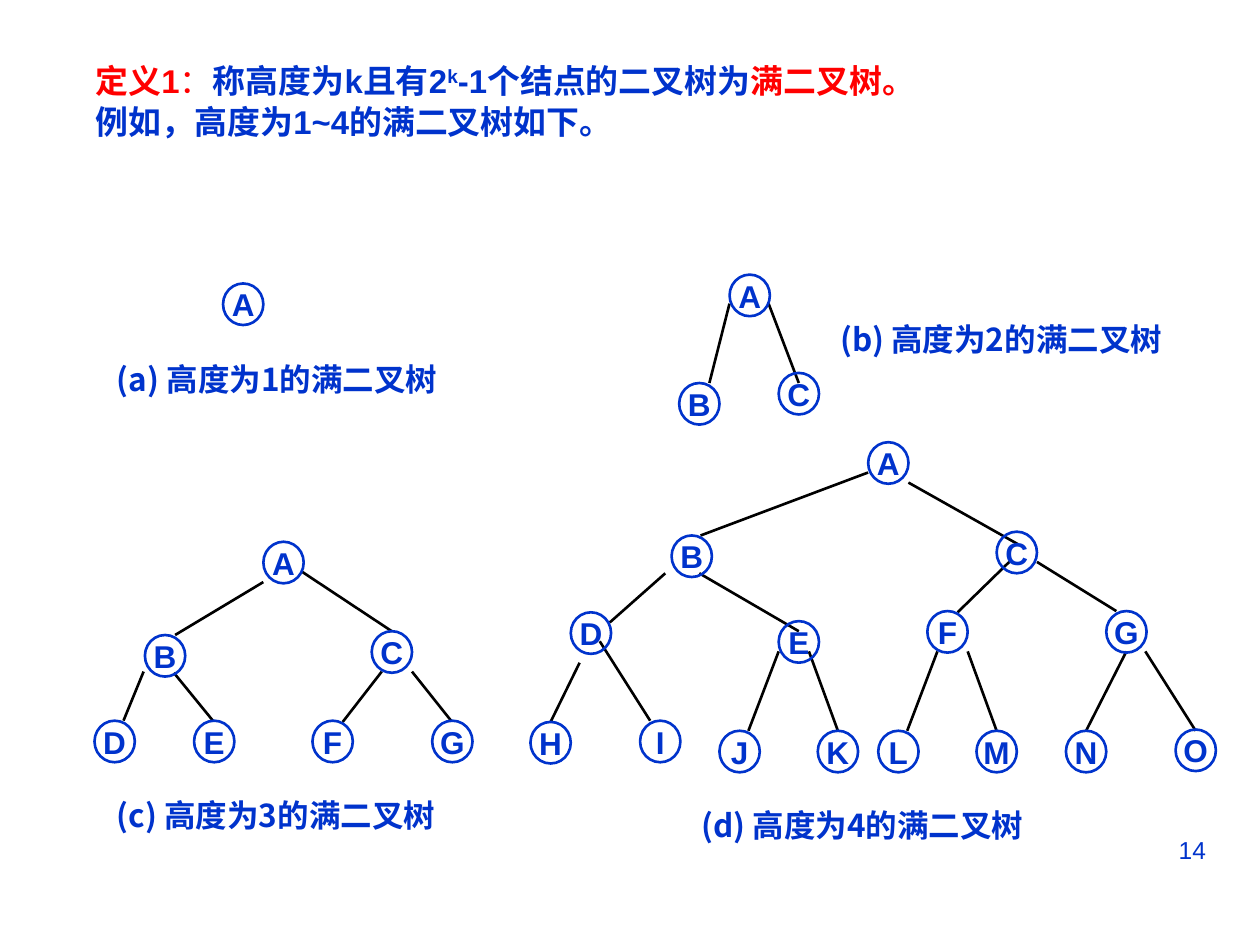
import pptx
import pptx.util
from lxml import etree
from pptx.dml.color import RGBColor
from pptx.enum.shapes import MSO_CONNECTOR, MSO_SHAPE
from pptx.enum.text import MSO_ANCHOR, PP_ALIGN
from pptx.oxml.ns import qn

BLUE = RGBColor(0x00, 0x33, 0xCC)
RED = RGBColor(0xFF, 0x00, 0x00)
BLACK = RGBColor(0x00, 0x00, 0x00)
LATIN_FONT = "Arial"
CHINESE_FONT = "Noto Sans CJK SC"

# The slide is a grid of 100 columns by 75 rows with square cells
CELL = pptx.util.Inches(0.1)
COLUMNS, ROWS = 100, 75
NODE_SIZE = (3.2, 3.3)

# Each tree: the left top cell of every node, and the two ends of every edge
TREES = [
    {  # Height 1
        "nodes": {"A": (17.7, 22.5)},
        "edges": [],
    },
    {  # Height 2
        "nodes": {"A": (57.9, 21.8), "B": (53.9, 30.4), "C": (61.8, 29.6)},
        "edges": [(57.9, 24.1, 56.3, 30.4), (61, 24.1, 63.4, 30.4)],
    },
    {  # Height 3
        "nodes": {
            "A": (20.9, 43), "B": (11.5, 50.4), "C": (29.5, 50.1),
            "D": (7.5, 57.2), "E": (15.4, 57.2),
            "F": (24.8, 57.2), "G": (34.3, 57.2),
        },
        "edges": [
            (20.9, 46.2, 13.9, 50.4), (24, 45.4, 31.1, 50.1),
            (11.4, 53.3, 9.8, 57.2), (13.8, 53.4, 16.9, 57.2),
            (30.3, 53.3, 27.2, 57.3), (32.7, 53.3, 35.8, 57.2),
        ],
    },
    {  # Height 4
        "nodes": {
            "A": (68.9, 35.1), "B": (53.3, 42.5), "C": (79.1, 42.2),
            "D": (45.3, 48.6), "E": (61.8, 49.3),
            "F": (73.6, 48.5), "G": (87.8, 48.5),
            "H": (42.1, 57.3), "I": (50.8, 57.2),
            "J": (57.1, 58), "K": (64.9, 58),
            "L": (69.7, 58), "M": (77.5, 58),
            "N": (84.6, 58), "O": (93.3, 57.9),
        },
        "edges": [
            (68.9, 37.5, 55.6, 42.5), (72.1, 38.3, 80.8, 43.2),
            (52.8, 45.5, 48.4, 49.4), (55.5, 45.5, 63.4, 50.1),
            (80.1, 44.6, 76, 48.6), (82.3, 44.6, 88.6, 48.5),
            (46, 52.6, 43.7, 57.3), (47.6, 50.9, 51.6, 57.2),
            (61.8, 51.7, 59.4, 58), (64.2, 51.7, 66.5, 58),
            (74.4, 51.7, 72, 58), (76.8, 51.7, 79.1, 58),
            (89.4, 51.7, 86.2, 58), (90.9, 51.7, 94.9, 58),
        ],
    },
]

CAPTIONS = [
    ("(a) 高度为1的满二叉树", (8.3, 28.1, 33.1, 4)),
    ("(b) 高度为2的满二叉树", (65.7, 24.9, 29.9, 7)),
    ("(c) 高度为3的满二叉树", (8.3, 62.7, 30.7, 7)),
    ("(d) 高度为4的满二叉树", (54.7, 63.5, 33.1, 4)),
]


def cells(*counts):
    """Turn counts of grid cells into lengths."""
    return [round(count * CELL) for count in counts]


def add_text(paragraph, text, size=18, color=BLUE, bold=True,
             font=LATIN_FONT, baseline=None):
    run = paragraph.add_run()
    run.text = text
    run.font.size = pptx.util.Pt(size)
    run.font.bold = bold
    run.font.name = font
    run.font.color.rgb = color
    properties = run._r.get_or_add_rPr()
    east_asian = etree.SubElement(properties, qn("a:ea"))
    east_asian.set("typeface", CHINESE_FONT)
    if baseline:
        properties.set("baseline", str(baseline * 1000))


def add_box(slide, area):
    frame = slide.shapes.add_textbox(*cells(*area)).text_frame
    frame.word_wrap = True
    return frame


def add_edge(slide, ends):
    line = slide.shapes.add_connector(MSO_CONNECTOR.STRAIGHT, *cells(*ends))
    line.line.color.rgb = BLACK
    line.line.width = pptx.util.Pt(1.5)
    etree.SubElement(line._element.spPr, qn("a:effectLst"))


def add_node(slide, letter, corner):
    shape = slide.shapes.add_shape(MSO_SHAPE.OVAL, *cells(*corner, *NODE_SIZE))
    shape.shadow.inherit = False
    shape.fill.background()
    shape.line.color.rgb = BLUE
    shape.line.width = pptx.util.Pt(1.5)
    frame = shape.text_frame
    frame.word_wrap = False
    frame.vertical_anchor = MSO_ANCHOR.MIDDLE
    paragraph = frame.paragraphs[0]
    paragraph.alignment = PP_ALIGN.CENTER
    add_text(paragraph, letter)


def add_tree(slide, tree):
    for ends in tree["edges"]:
        add_edge(slide, ends)
    for letter, corner in tree["nodes"].items():
        add_node(slide, letter, corner)


def add_definition(slide):
    frame = add_box(slide, (6.6, 5.2, 93.4, 42.5))
    definition = frame.paragraphs[0]
    example = frame.add_paragraph()
    example.space_before = pptx.util.Pt(7.5)
    for paragraph in (definition, example):
        paragraph.line_spacing = 0.7
    add_text(definition, "定义1", size=18.8, color=RED)
    add_text(definition, "：", size=18.8, color=RED, bold=False)
    add_text(definition, "称高度为k且有2", size=18.8)
    add_text(definition, "k", size=18.8, baseline=30)
    add_text(definition, "-1个结点的二叉树为", size=18.8)
    add_text(definition, "满二叉树。", size=18.8, color=RED)
    add_text(example, "例如，高度为1~4的满二叉树如下。", size=18.8)


def main():
    presentation = pptx.Presentation()
    presentation.slide_width, presentation.slide_height = cells(COLUMNS, ROWS)
    slide = presentation.slides.add_slide(presentation.slide_layouts[6])

    # Definition at the top
    add_definition(slide)

    # Trees and their captions
    for tree in TREES:
        add_tree(slide, tree)
    for caption, area in CAPTIONS:
        paragraph = add_box(slide, area).paragraphs[0]
        add_text(paragraph, caption, font=CHINESE_FONT)

    # Page number
    number = add_box(slide, (71.7, 65.8, 25, 5.2)).paragraphs[0]
    number.alignment = PP_ALIGN.RIGHT
    add_text(number, "14", size=14, bold=False)

    presentation.save("out.pptx")


if __name__ == "__main__":
    main()
